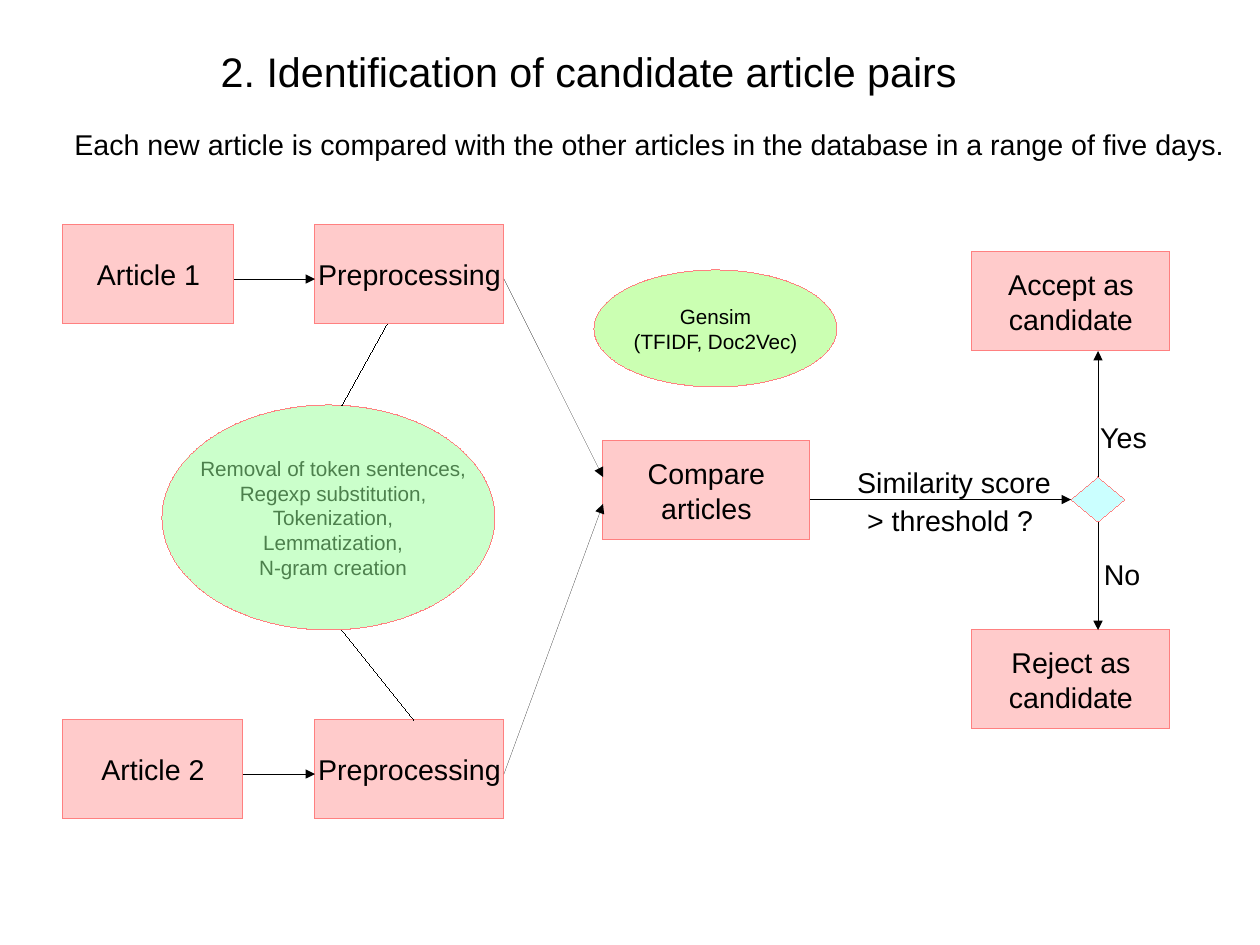
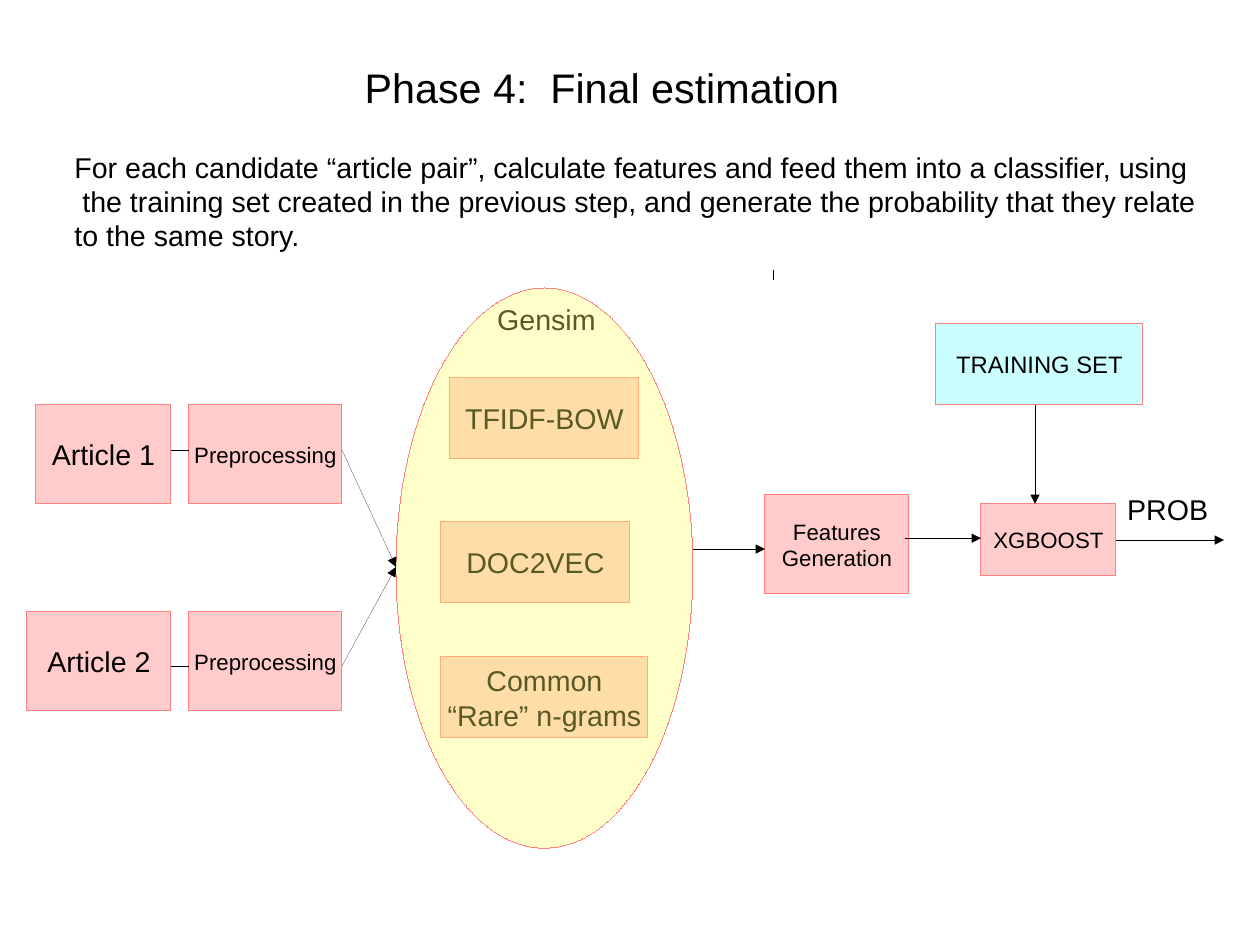
from dataclasses import dataclass

from lxml.etree import SubElement
from pptx import Presentation
from pptx.dml.color import RGBColor
from pptx.enum.shapes import MSO_CONNECTOR, MSO_SHAPE
from pptx.enum.text import MSO_ANCHOR, MSO_AUTO_SIZE, PP_ALIGN
from pptx.oxml.ns import qn
from pptx.util import Cm, Pt


@dataclass(frozen=True)
class Theme:
    font: str = "Arial"
    ink: str = "000000"
    edge: str = "FF8080"
    pink: tuple = ("FF9999", 50)
    aqua: tuple = ("99FFFF", 50)
    mint: tuple = ("99FF99", 50)
    lime: tuple = ("99FF66", 50)
    lemon: tuple = ("FFFF66", 35)
    hair: float = 0.01
    head: int = 26
    body: int = 18
    mid: int = 15
    small: int = 14
    tiny: int = 13


LOOK = Theme()
RECT, OVAL, GEM = MSO_SHAPE.RECTANGLE, MSO_SHAPE.OVAL, MSO_SHAPE.DIAMOND
LEFT, MID = PP_ALIGN.LEFT, PP_ALIGN.CENTER

STEPS = """Removal of token sentences,
Regexp substitution,
Tokenization,
Lemmatization,
N-gram creation"""

INTRO = """For each candidate “article pair”, calculate features and feed them into a classifier, using
 the training set created in the previous step, and generate the probability that they relate
to the same story."""

PAGES = [
    {
        "title": ("2. Identification of candidate article pairs", (4.65, 0.9, 18, 1.27)),
        "intro": (
            "Each new article is compared with the other articles in the database in a range of five days.",
            (1.4, 2.7, 26.6, 1),
        ),
        "labels": [
            (STEPS, (4, 10, 6.8, 4.4), LOOK.tiny, MID),
            ("Similarity score", (18.8, 10.2, 5.4, 1), LOOK.body, LEFT),
            ("> threshold ?", (19.02, 11.05, 4.8, 1), LOOK.body, LEFT),
            ("Yes", (24.2, 9.2, 2, 1), LOOK.body, LEFT),
            ("No", (24.28, 12.25, 2, 1), LOOK.body, LEFT),
        ],
        "nodes": [
            ("Article 1", (1.4, 5, 3.8, 2.2), LOOK.body, LOOK.pink, RECT),
            ("Article 2", (1.4, 16, 4, 2.2), LOOK.body, LOOK.pink, RECT),
            ("Preprocessing", (7, 5, 4.2, 2.2), LOOK.body, LOOK.pink, RECT),
            ("Preprocessing", (7, 16, 4.2, 2.2), LOOK.body, LOOK.pink, RECT),
            ("Compare\narticles", (13.4, 9.8, 4.6, 2.2), LOOK.body, LOOK.pink, RECT),
            ("Accept as\ncandidate", (21.6, 5.6, 4.4, 2.2), LOOK.body, LOOK.pink, RECT),
            ("Reject as\ncandidate", (21.6, 14, 4.4, 2.2), LOOK.body, LOOK.pink, RECT),
            ("", (23.8, 10.6, 1.2, 1), LOOK.body, LOOK.aqua, GEM),
            ("", (3.6, 9, 7.4, 5), LOOK.tiny, LOOK.mint, OVAL),
            ("Gensim\n(TFIDF, Doc2Vec)", (13.2, 6, 5.4, 2.6), LOOK.tiny, LOOK.lime, OVAL),
        ],
        "arrows": [
            (5.2, 6.2, 7, 6.2),
            (5.4, 17.2, 7, 17.2),
            (11.2, 6.2, 13.4, 10.6),
            (11.2, 17.2, 13.4, 11.2),
            (18, 11.1, 23.8, 11.1),
            (24.4, 10.6, 24.4, 7.8),
            (24.4, 11.6, 24.4, 14),
        ],
        "lines": [(7.6, 9, 8.6, 7.2), (7.6, 14, 9.2, 16)],
    },
    {
        "title": ("Phase 4:  Final estimation", (7.85, 1.25, 14, 1.27)),
        "intro": (INTRO, (1.4, 3.2, 26.6, 2.4)),
        "labels": [
            ("Gensim", (10.8, 6.58, 3.2, 1), LOOK.body, LEFT),
            ("PROB", (24.8, 10.8, 2.8, 1), LOOK.body, LEFT),
        ],
        "nodes": [
            ("Article 1", (0.8, 9, 3, 2.2), LOOK.body, LOOK.pink, RECT),
            ("Article 2", (0.6, 13.6, 3.2, 2.2), LOOK.body, LOOK.pink, RECT),
            ("Preprocessing", (4.2, 9, 3.4, 2.2), LOOK.small, LOOK.pink, RECT),
            ("Preprocessing", (4.2, 13.6, 3.4, 2.2), LOOK.small, LOOK.pink, RECT),
            ("TFIDF-BOW", (10, 8.4, 4.2, 1.8), LOOK.body, LOOK.pink, RECT),
            ("DOC2VEC", (9.8, 11.6, 4.2, 1.8), LOOK.body, LOOK.pink, RECT),
            ("Common\n“Rare” n-grams", (9.8, 14.6, 4.6, 1.8), LOOK.body, LOOK.pink, RECT),
            ("", (8.8, 6.4, 6.6, 12.45), LOOK.body, LOOK.lemon, OVAL),
            ("Features\nGeneration", (17, 11, 3.2, 2.2), LOOK.small, LOOK.pink, RECT),
            ("XGBOOST", (21.8, 11.2, 3, 1.6), LOOK.small, LOOK.pink, RECT),
            ("TRAINING SET", (20.8, 7.2, 4.6, 1.8), LOOK.mid, LOOK.aqua, RECT),
        ],
        "arrows": [
            (7.6, 10, 8.8, 12.6),
            (7.6, 14.8, 8.8, 12.6),
            (15.4, 12.2, 17, 12.2),
            (20.1, 11.96, 21.8, 11.96),
            (24.8, 12, 27.2, 12),
            (23, 9, 23, 11.2),
        ],
        "lines": [(3.8, 10, 4.2, 10), (3.8, 14.8, 4.2, 14.8), (17.2, 6, 17.2, 6.2)],
    },
]


def write(shape, text, size, align, anchor=MSO_ANCHOR.TOP, wrap=True):
    frame = shape.text_frame
    frame.text = text
    frame.word_wrap = wrap
    frame.vertical_anchor = anchor
    for para in frame.paragraphs:
        para.alignment = align
        para.space_before = para.space_after = Pt(0)
        for run in para.runs:
            run.font.name = LOOK.font
            run.font.size = Pt(size)
            run.font.color.rgb = RGBColor.from_string(LOOK.ink)


def fill_holder(shape, text, place, size):
    shape.left, shape.top, shape.width, shape.height = map(Cm, place)
    write(shape, text, size, LEFT)
    shape.text_frame.auto_size = MSO_AUTO_SIZE.NONE
    for para in shape.text_frame.paragraphs:
        props = para._p.get_or_add_pPr()
        props.set("marL", "0")
        props.set("indent", "0")
        SubElement(props, qn("a:buNone"))


def add_label(slide, text, place, size, align):
    box = slide.shapes.add_textbox(*map(Cm, place))
    write(box, text, size, align)


def draw_line(line, shade):
    line.color.rgb = RGBColor.from_string(shade)
    line.width = Pt(LOOK.hair)


def add_node(slide, text, place, size, tint, kind):
    shape = slide.shapes.add_shape(kind, *map(Cm, place))
    shape.shadow.inherit = False
    shade, alpha = tint
    shape.fill.solid()
    shape.fill.fore_color.rgb = RGBColor.from_string(shade)
    color = shape._element.spPr.find(qn("a:solidFill")).find(qn("a:srgbClr"))
    SubElement(color, qn("a:alpha"), val=str(alpha * 1000))
    draw_line(shape.line, LOOK.edge)
    if text:
        write(shape, text, size, MID, MSO_ANCHOR.MIDDLE, wrap=False)


def add_link(slide, ends, arrow):
    link = slide.shapes.add_connector(MSO_CONNECTOR.STRAIGHT, *map(Cm, ends))
    draw_line(link.line, LOOK.ink)
    props = link._element.spPr
    if arrow:
        SubElement(props.find(qn("a:ln")), qn("a:tailEnd"), type="triangle")
    SubElement(props, qn("a:effectLst"))


def add_page(deck, page):
    slide = deck.slides.add_slide(deck.slide_layouts[1])
    fill_holder(slide.shapes.title, *page["title"], LOOK.head)
    fill_holder(slide.placeholders[1], *page["intro"], LOOK.body)
    for label in page["labels"]:
        add_label(slide, *label)
    for node in page["nodes"]:
        add_node(slide, *node)
    for kind in ("arrows", "lines"):
        for ends in page[kind]:
            add_link(slide, ends, kind == "arrows")


def main():
    deck = Presentation()
    deck.slide_width, deck.slide_height = Cm(28), Cm(21)
    for page in PAGES:
        add_page(deck, page)
    deck.save("out.pptx")


if __name__ == "__main__":
    main()
